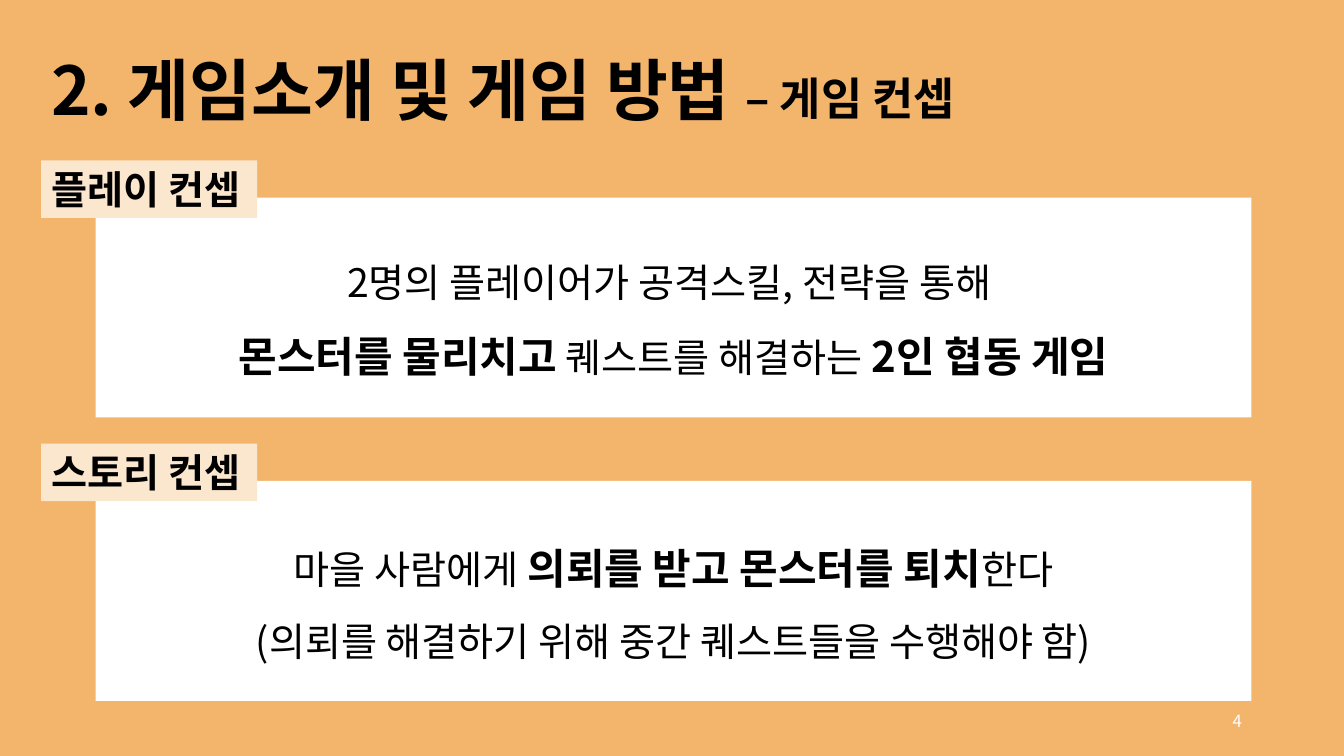
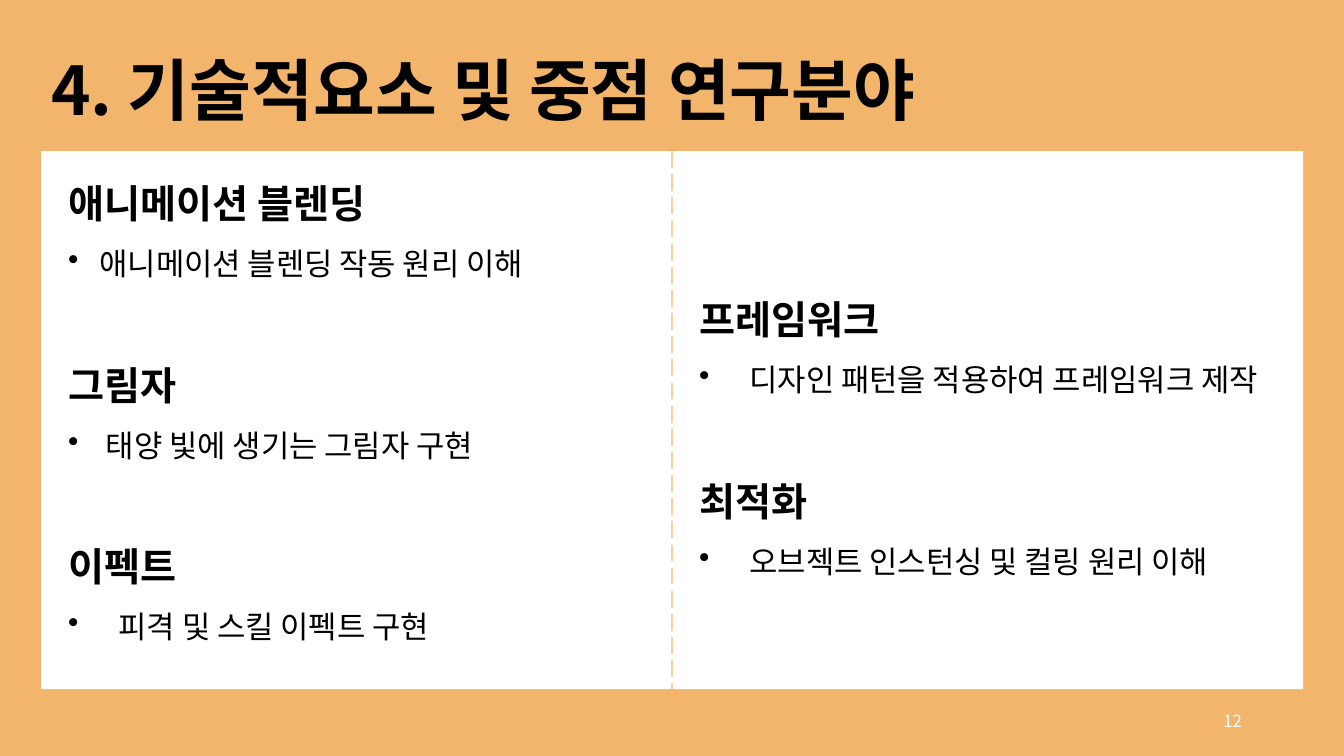
from lxml import etree
from pptx import Presentation
from pptx.dml.color import RGBColor
from pptx.enum import dml, shapes, text
from pptx.oxml import ns
from pptx.util import Cm, Pt

FONT = "Noto Sans CJK KR"
ORANGE = RGBColor(0xF3, 0xB5, 0x6C)
LIGHT_ORANGE = RGBColor(0xF7, 0xCE, 0x9D)
CREAM = RGBColor(0xFB, 0xE6, 0xCE)
WHITE = RGBColor(0xFF, 0xFF, 0xFF)
BLACK = RGBColor(0x00, 0x00, 0x00)
LEFT, CENTER, RIGHT = text.PP_ALIGN.LEFT, text.PP_ALIGN.CENTER, text.PP_ALIGN.RIGHT
TOP, MIDDLE = text.MSO_ANCHOR.TOP, text.MSO_ANCHOR.MIDDLE


def add_box(s, x, y, w, h, fill=None, anchor=MIDDLE):
    """Add a text box, or a plain rectangle when a fill is given (lengths in cm)."""
    place = Cm(x), Cm(y), Cm(w), Cm(h)
    if fill is None:
        sp = s.shapes.add_textbox(*place)
    else:
        sp = s.shapes.add_shape(shapes.MSO_SHAPE.RECTANGLE, *place)
        sp.shadow.inherit = False
        sp.fill.solid()
        sp.fill.fore_color.rgb = fill
        sp.line.fill.background()
    sp.text_frame.word_wrap = True
    sp.text_frame.vertical_anchor = anchor
    return sp


def add_paragraph(tf, runs, align=LEFT, spacing=1.0, color=BLACK):
    """Fill the empty first paragraph or add one; runs are (words, size, bold)."""
    p = tf.paragraphs[0] if not tf.text else tf.add_paragraph()
    p.alignment = align
    p.line_spacing = spacing
    for words, size, bold in runs:
        r = p.add_run()
        r.text = words
        r.font.name = FONT
        r.font.size = Pt(size)
        r.font.bold = bold
        r.font.color.rgb = color
        ea = etree.SubElement(r.font._element, ns.qn("a:ea"))
        ea.set("typeface", FONT)
    return p


prs = Presentation()
prs.slide_width, prs.slide_height = Cm(33.87), Cm(19.05)
background = prs.slide_master.background.fill
background.solid()
background.fore_color.rgb = ORANGE

# Slides with title and page number
PAGES = [
    ([("2. 게임소개 및 게임 방법 ", 48, True), ("– 게임 컨셉", 32, True)], "4"),
    ([("4. 기술적요소 및 중점 연구분야", 48, True)], "12"),
]
for title, number in PAGES:
    s = prs.slides.add_slide(prs.slide_layouts[6])
    add_paragraph(add_box(s, 1.04, 0.89, 32.49, 2.92).text_frame, title, spacing=0.9)
    add_paragraph(add_box(s, 23.93, 17.65, 7.62, 1.02).text_frame,
                  [(number, 12, False)], RIGHT, color=WHITE)
concept_slide, research_slide = prs.slides

# Concept slide: white panels with overlapping labels
CONCEPTS = [
    ("플레이 컨셉", [
        [("2명의 플레이어가 공격스킬, 전략을 통해 ", 28, False)],
        [("몬스터를 물리치고", 30, True), (" 퀘스트를 해결하는 ", 28, False),
         ("2인 협동 게임", 30, True)],
    ]),
    ("스토리 컨셉", [
        [("마을 사람에게 ", 28, False), ("의뢰를 받고 몬스터를 퇴치", 30, True),
         ("한다", 28, False)],
        [("(의뢰를 해결하기 위해 중간 퀘스트들을 수행해야 함)", 28, False)],
    ]),
]
for i, (label, lines) in enumerate(CONCEPTS):
    y = 4.04 + 7.14 * i
    panel = add_box(concept_slide, 2.41, y + 0.94, 29.13, 5.54, WHITE)
    for runs in lines:
        add_paragraph(panel.text_frame, runs, CENTER, 1.5)
    tf = add_box(concept_slide, 1.04, y, 5.44, 1.45, CREAM, TOP).text_frame
    tf.word_wrap = False
    tf.auto_size = text.MSO_AUTO_SIZE.SHAPE_TO_FIT_TEXT
    add_paragraph(tf, [(label, 28, True)])

# Research slide: one panel split by a dashed line
panel = add_box(research_slide, 1.04, 3.81, 31.8, 13.56, WHITE)
divider = research_slide.shapes.add_connector(shapes.MSO_CONNECTOR.STRAIGHT, 0, 0, 0, 0)
divider.begin_connect(panel, 0)
divider.end_connect(panel, 2)
divider.line.color.rgb = LIGHT_ORANGE
divider.line.width = Pt(1.5)
divider.line.dash_style = dml.MSO_LINE.LONG_DASH
etree.SubElement(divider._element.spPr, ns.qn("a:effectLst"))

# Research slide: columns of (heading, bullet text, bullet indent in cm)
COLUMNS = [
    (1.47, 3.81, 14.33, [
        ("애니메이션 블렌딩", "애니메이션 블렌딩 작동 원리 이해", 0.79),
        ("그림자", "태양 빛에 생기는 그림자 구현", 0.95),
        ("이펙트", "피격 및 스킬 이펙트 구현", 1.27),
    ]),
    (17.37, 6.73, 7.95, [
        ("프레임워크", "디자인 패턴을 적용하여 프레임워크 제작", 1.27),
        ("최적화", "오브젝트 인스턴싱 및 컬링 원리 이해", 1.27),
    ]),
]
for x, y, h, topics in COLUMNS:
    tf = add_box(research_slide, x, y, 15.01, h, anchor=TOP).text_frame
    for i, (heading, detail, indent) in enumerate(topics):
        p = add_paragraph(tf, [(heading, 28, True)], spacing=1.5)
        if i:
            p.space_before = Pt(39.5)
        p = add_paragraph(tf, [(detail, 22, False)], spacing=1.5)
        pPr = p._p.get_or_add_pPr()
        pPr.set("marL", str(Cm(indent)))
        pPr.set("indent", str(-Cm(indent)))
        etree.SubElement(pPr, ns.qn("a:buChar")).set("char", "•")

prs.save("out.pptx")
